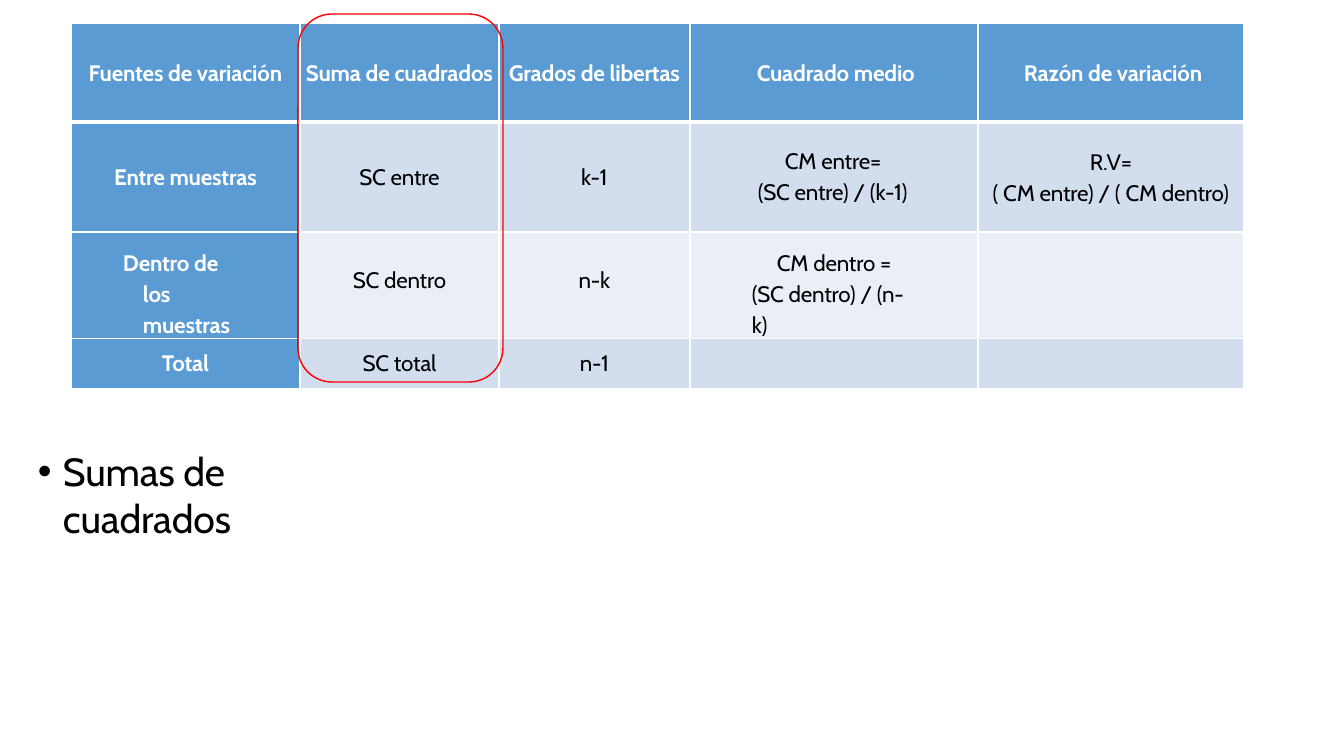
from pptx import Presentation
from pptx.dml.color import RGBColor
from pptx.enum.shapes import MSO_SHAPE as Shape
from pptx.enum.text import PP_ALIGN as Align
from pptx.oxml import parse_xml
from pptx.oxml.ns import nsdecls
from pptx.util import Pt

WHITE = RGBColor(0xFF, 0xFF, 0xFF)
BLACK = RGBColor(0, 0, 0)
RED = RGBColor(0xFF, 0, 0)
BLUE = RGBColor(0x5B, 0x9B, 0xD4)
BAND_DARK = RGBColor(0xD2, 0xDE, 0xEE)
BAND_LIGHT = RGBColor(0xEA, 0xEE, 0xF7)

FONT = "Cabin"
SCALE = 914400 / 100.8
PAGE_SIZE = (1344, 756)

TABLE_LEFT, TABLE_TOP = 71, 23
COLUMN_WIDTHS = [229, 199, 191, 288, 266]
ROW_HEIGHTS = [99, 110, 96, 50]
ROW_PADDING = [37, 42, 35, 11]
ROWS = [
    ["Fuentes de variación", "Suma de cuadrados", "Grados de libertas",
     "Cuadrado medio", "Razón de variación"],
    ["Entre muestras", "SC entre", "k-1",
     "CM entre=\n(SC entre) / (k-1)", "R.V=\n( CM entre) / ( CM dentro)"],
    ["Dentro de\nlos\nmuestras", "SC dentro", "n-k",
     "CM dentro =\n(SC dentro) / (n-k)", ""],
    ["Total", "SC total", "n-1", "", ""],
]
INDENTS = {
    (0, 3): (67, 0, 0),
    (0, 4): (46, 0, 0),
    (1, 3): (68, 27, 60),
    (2, 0): (72, -20, 0),
    (2, 3): (62, 25, 66),
}
PADDING = {(1, 3): 22, (1, 4): 27, (2, 0): 14, (2, 3): 14}
SPACED_LINES = {(1, 3), (2, 0), (2, 3)}
TWO_PARAGRAPHS = {(1, 4)}

HIGHLIGHT = (298, 14, 205, 368)
HIGHLIGHT_RADIUS = 34
BULLET_BOX = (37, 447, 354, 49)
BULLET_TEXT = "Sumas de\ncuadrados"


def px(length):
    return round(length * SCALE)


def write(para, text, size, color, bold=False):
    for index, line in enumerate(text.split("\n")):
        if index:
            para.add_line_break()
        span = para.add_run()
        span.text = line
        span.font.name = FONT
        span.font.size = Pt(size)
        span.font.bold = bold
        span.font.color.rgb = color
        span._r.get_or_add_rPr().set("spc", "-10")


def indent(para, left, first):
    props = para._p.get_or_add_pPr()
    props.set("marL", str(px(left)))
    props.set("indent", str(px(first)))


def border(cell, side, points):
    cell._tc.get_or_add_tcPr().append(parse_xml(
        f'<a:{side} {nsdecls("a")} w="{Pt(points)}"><a:solidFill>'
        f'<a:srgbClr val="{WHITE}"/></a:solidFill></a:{side}>'))


def fill_cell(cell, row, column, text):
    place = (row, column)
    heading = row == 0 or column == 0
    left, first, right = INDENTS.get(place, (0, 0, 0))
    cell.margin_left = cell.margin_bottom = 0
    cell.margin_right = px(right)
    cell.margin_top = px(PADDING.get(place, ROW_PADDING[row]))
    for side in ("lnL", "lnR", "lnT", "lnB"):
        under_header = (row, side) in ((0, "lnB"), (1, "lnT"))
        border(cell, side, 3 if under_header else 1)
    cell.fill.solid()
    band = BAND_DARK if row % 2 else BAND_LIGHT
    cell.fill.fore_color.rgb = BLUE if heading else band

    parts = text.split("\n") if place in TWO_PARAGRAPHS else [text]
    for index, part in enumerate(parts):
        frame = cell.text_frame
        para = frame.add_paragraph() if index else frame.paragraphs[0]
        if index:
            para.space_before = Pt(2.9)
        if place in INDENTS:
            indent(para, left, first)
        else:
            para.alignment = Align.CENTER
        if place in SPACED_LINES:
            para.line_spacing = 1.15
        if part:
            write(para, part, 16, WHITE if heading else BLACK, heading)


def add_variance_table(page):
    table = page.shapes.add_table(
        len(ROWS), len(COLUMN_WIDTHS), px(TABLE_LEFT), px(TABLE_TOP),
        px(sum(COLUMN_WIDTHS)), px(sum(ROW_HEIGHTS))).table
    for column, width in zip(table.columns, COLUMN_WIDTHS):
        column.width = px(width)
    for row, height in zip(table.rows, ROW_HEIGHTS):
        row.height = px(height)
    for row, texts in enumerate(ROWS):
        for column, text in enumerate(texts):
            fill_cell(table.cell(row, column), row, column, text)


def add_bullet(page):
    frame = page.shapes.add_textbox(*map(px, BULLET_BOX)).text_frame
    frame.word_wrap = True
    frame.margin_left = frame.margin_right = 0
    frame.margin_top = frame.margin_bottom = 0
    para = frame.paragraphs[0]
    indent(para, 26, -25)
    props = para._p.get_or_add_pPr()
    props.append(parse_xml(f'<a:buFont {nsdecls("a")} typeface="Arial"/>'))
    props.append(parse_xml(f'<a:buChar {nsdecls("a")} char="•"/>'))
    write(para, BULLET_TEXT, 28, BLACK)


def add_highlight(page):
    outline = page.shapes.add_shape(Shape.ROUNDED_RECTANGLE, *map(px, HIGHLIGHT))
    outline.adjustments[0] = HIGHLIGHT_RADIUS / HIGHLIGHT[2]
    outline.shadow.inherit = False
    outline.fill.background()
    outline.line.color.rgb = RED
    outline.line.width = Pt(1)


def main():
    deck = Presentation()
    deck.slide_width, deck.slide_height = map(px, PAGE_SIZE)
    page = deck.slides.add_slide(deck.slide_layouts[6])
    add_bullet(page)
    add_variance_table(page)
    add_highlight(page)
    deck.save("out.pptx")


if __name__ == "__main__":
    main()
